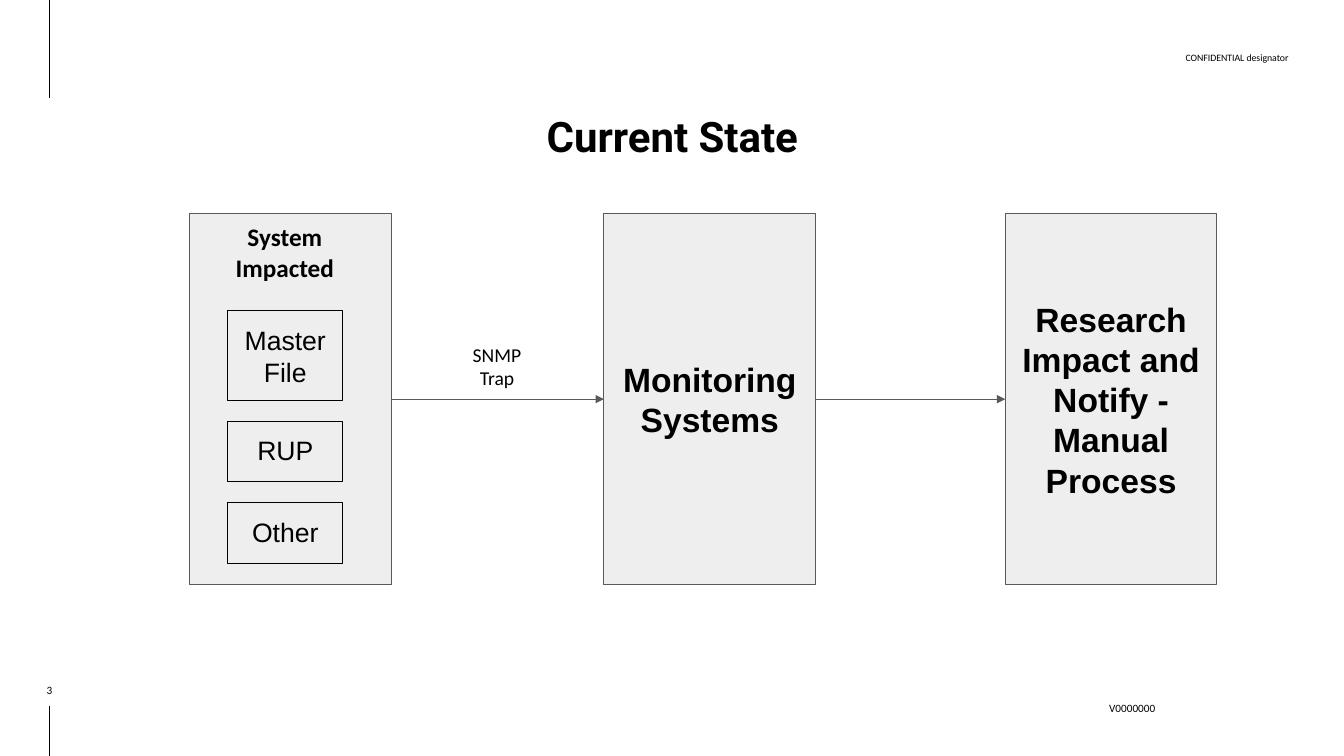
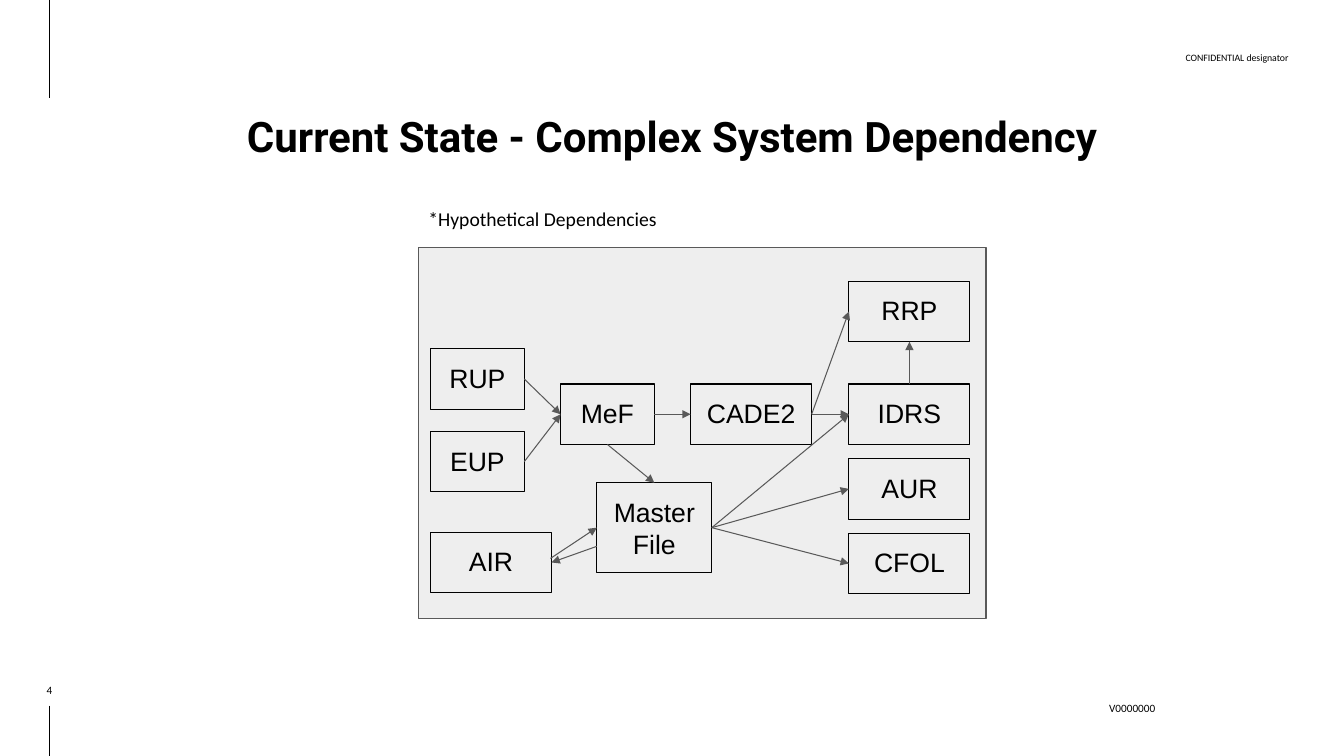
import pptx
import pptx.dml.color
import pptx.enum.shapes
import pptx.enum.text
import pptx.oxml.ns
import pptx.util
from dataclasses import dataclass
from lxml import etree

Inches = pptx.util.Inches
ALIGN = pptx.enum.text.PP_ALIGN
ANCHOR = pptx.enum.text.MSO_ANCHOR
TOP, LEFT, BOTTOM, RIGHT = range(4)
PANEL_H = 3.68
BOX_H = 0.6
TALL_BOX_H = 0.89


@dataclass(frozen=True)
class Theme:
    ink: str = "000000"
    panel: str = "EEEEEE"
    edge: str = "595959"
    line: float = 0.75
    title_font: str = "Roboto"
    body_font: str = "Calibri"
    box_font: str = "Arial"
    title: float = 30
    panel_text: float = 24
    box_text: float = 19
    heading: float = 18
    label: float = 14
    footer: float = 8
    marking: float = 7


def rgb(value):
    return pptx.dml.color.RGBColor.from_string(value)


def write(sp, text, *, size, font, color, bold=False, align=ALIGN.CENTER,
          anchor=ANCHOR.TOP, inset=0.0, spacing=None):
    """Fill a shape with text, one paragraph for each line."""
    tf = sp.text_frame
    tf.word_wrap = True
    tf.vertical_anchor = anchor
    tf.margin_left = tf.margin_right = Inches(inset)
    tf.margin_top = tf.margin_bottom = Inches(inset)
    for i, line in enumerate(text.split("\n")):
        p = tf.add_paragraph() if i else tf.paragraphs[0]
        p.alignment = align
        if spacing:
            p.line_spacing = spacing
        r = p.add_run()
        r.text = line
        r.font.size = pptx.util.Pt(size)
        r.font.name = font
        r.font.bold = bold
        r.font.color.rgb = rgb(color)


class Deck:
    def __init__(self, theme):
        self.theme = theme
        self.prs = pptx.Presentation()
        self.prs.slide_width = Inches(13.33)
        self.prs.slide_height = Inches(7.5)
        self.slide = None

    def new_slide(self, title, number):
        t = self.theme
        self.slide = self.prs.slides.add_slide(self.prs.slide_layouts[6])
        self.text("CONFIDENTIAL designator", 10.58, 0.3, 2.2, 0.33, size=t.marking,
                  align=ALIGN.RIGHT, anchor=ANCHOR.BOTTOM, spacing=1.5)
        self.text("V0000000", 10.66, 6.9, 0.8, 0.25, size=t.footer,
                  align=ALIGN.RIGHT, anchor=ANCHOR.MIDDLE)
        for y1, y2 in ((0, 0.97), (7, 7.5)):
            self.line((0.49, y1), (0.49, y2), t.ink)
        self.text(title, 0.97, 0.95, 11.4, 0.6, size=t.title,
                  font=t.title_font, bold=True, spacing=1.3)
        self.text(str(number), 0.09, 6.75, 0.8, 0.16, size=t.footer,
                  anchor=ANCHOR.BOTTOM)

    def text(self, text, x, y, w, h, *, font=None, **style):
        sp = self.slide.shapes.add_textbox(*map(Inches, (x, y, w, h)))
        write(sp, text, font=font or self.theme.body_font,
              color=self.theme.ink, **style)

    def rect(self, x, y, w, h, edge, fill=None):
        sp = self.slide.shapes.add_shape(
            pptx.enum.shapes.MSO_SHAPE.RECTANGLE, *map(Inches, (x, y, w, h)))
        sp.shadow.inherit = False
        if fill:
            sp.fill.solid()
            sp.fill.fore_color.rgb = rgb(fill)
        else:
            sp.fill.background()
        sp.line.color.rgb = rgb(edge)
        sp.line.width = pptx.util.Pt(self.theme.line)
        return sp

    def panel(self, x, y, w, text=None):
        t = self.theme
        sp = self.rect(x, y, w, PANEL_H, t.edge, t.panel)
        if text:
            write(sp, text, size=t.panel_text, font=t.box_font, color=t.ink,
                  bold=True, anchor=ANCHOR.MIDDLE, inset=0.1)
        return sp

    def box(self, text, x, y, w, h=BOX_H):
        t = self.theme
        sp = self.rect(x, y, w, h, t.ink)
        write(sp, text, size=t.box_text, font=t.box_font, color=t.ink, inset=0.13)
        return sp

    def line(self, start, end, color):
        cx = self.slide.shapes.add_connector(
            pptx.enum.shapes.MSO_CONNECTOR.STRAIGHT, *map(Inches, start + end))
        cx.line.color.rgb = rgb(color)
        cx.line.width = pptx.util.Pt(self.theme.line)
        etree.SubElement(cx._element.spPr, pptx.oxml.ns.qn("a:effectLst"))
        return cx

    def arrow(self, start, end):
        """Draw an arrow; each end is an (x, y) point or a (shape, side) pair."""
        def is_point(place):
            return isinstance(place[0], float)

        origin = (0.0, 0.0)
        cx = self.line(start if is_point(start) else origin,
                       end if is_point(end) else origin, self.theme.edge)
        if not is_point(start):
            cx.begin_connect(*start)
        if not is_point(end):
            cx.end_connect(*end)
        ln = cx.line._get_or_add_ln()
        etree.SubElement(ln, pptx.oxml.ns.qn("a:tailEnd"), type="triangle")


def current_state(deck):
    t = deck.theme
    deck.new_slide("Current State", 3)
    top = 2.12
    impacted = deck.panel(1.88, top, 2)
    monitoring = deck.panel(5.99, top, 2.1, "Monitoring Systems")
    research = deck.panel(9.97, top, 2.1, "Research Impact and Notify - Manual Process")
    deck.text("System Impacted", 2.05, 2.1, 1.55, 0.6, size=t.heading,
              bold=True, inset=0.1)

    y, gap = 3.08, 0.21
    for name, h in (("Master\nFile", TALL_BOX_H), ("RUP", BOX_H), ("Other", BOX_H)):
        deck.box(name, 2.26, y, 1.14, h)
        y += h + gap

    deck.arrow((impacted, RIGHT), (monitoring, LEFT))
    deck.arrow((monitoring, RIGHT), (research, LEFT))
    deck.text("SNMP\nTrap", 4.53, 3.3, 0.8, 0.61, size=t.label, inset=0.1)


def system_dependency(deck):
    deck.new_slide("Current State - Complex System Dependency", 4)
    deck.panel(4.15, 2.46, 5.63)
    deck.text("*Hypothetical Dependencies", 4.15, 1.95, 2.74, 0.46,
              size=deck.theme.label, align=ALIGN.LEFT, inset=0.1)

    narrow, wide = 0.93, 1.2
    left, right, middle_row = 4.27, 8.42, 3.81
    rup = deck.box("RUP", left, 3.46, narrow)
    eup = deck.box("EUP", left, 4.28, narrow)
    air = deck.box("AIR", left, 5.28, wide)
    mef = deck.box("MeF", 5.56, middle_row, narrow)
    cade2 = deck.box("CADE2", 6.85, middle_row, wide)
    master = deck.box("Master\nFile", 5.92, 4.79, 1.14, TALL_BOX_H)
    rrp = deck.box("RRP", right, 2.79, wide)
    idrs, aur, cfol = [deck.box(name, right, middle_row + 0.74 * i, wide)
                       for i, name in enumerate(("IDRS", "AUR", "CFOL"))]

    for source, target in ((rup, mef), (eup, mef), (mef, cade2), (cade2, idrs),
                           (cade2, rrp), (master, idrs), (master, aur),
                           (master, cfol)):
        deck.arrow((source, RIGHT), (target, LEFT))
    deck.arrow((mef, BOTTOM), (master, TOP))
    deck.arrow((idrs, TOP), (rrp, BOTTOM))
    deck.arrow((5.46, 5.54), (master, LEFT))
    deck.arrow((5.92, 5.42), (air, RIGHT))


def main():
    deck = Deck(Theme())
    current_state(deck)
    system_dependency(deck)
    deck.prs.save("out.pptx")


if __name__ == "__main__":
    main()
